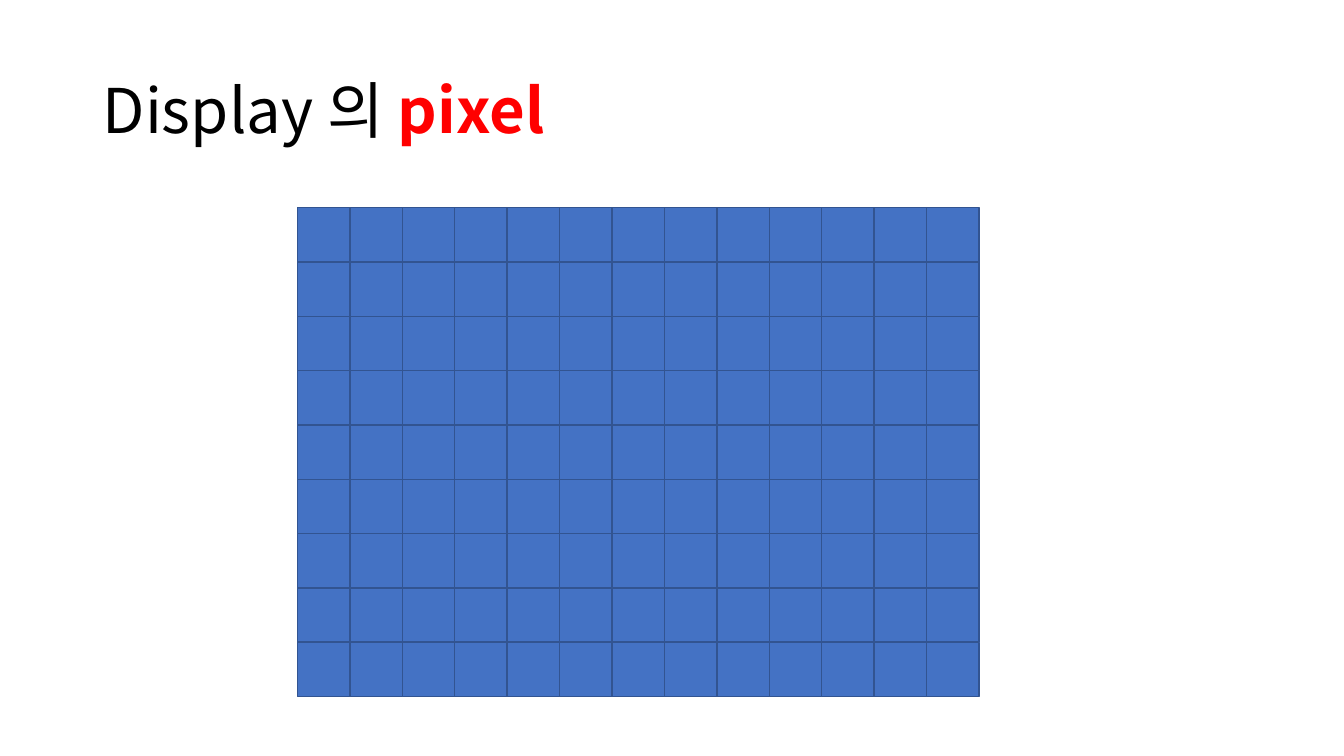
from lxml import etree
from pptx import Presentation
from pptx.dml.color import RGBColor
from pptx.enum.shapes import MSO_SHAPE
from pptx.enum.text import MSO_ANCHOR
from pptx.oxml.ns import qn
from pptx.util import Inches, Pt

RECT = MSO_SHAPE.RECTANGLE
MIDDLE = MSO_ANCHOR.MIDDLE
BLACK = RGBColor(0x00, 0x00, 0x00)
RED = RGBColor(0xFF, 0x00, 0x00)
BLUE = RGBColor(0x44, 0x72, 0xC4)
NAVY = RGBColor(0x32, 0x54, 0x91)
FONT = "Noto Sans CJK KR"
COLS, ROWS = 13, 9
LEFT, TOP = 2.95, 2.06
WIDE, HIGH = 0.52, 4.85 / ROWS


def add_text(para, text, size=44, color=BLACK, bold=False):
    run = para.add_run()
    run.text = text
    font = run.font
    font.name, font.size, font.bold = FONT, Pt(size), bold
    font.color.rgb = color
    latin = run._r.get_or_add_rPr().find(qn("a:latin"))
    east = etree.Element(qn("a:ea"), typeface=FONT)
    latin.addnext(east)


deck = Presentation()
deck.slide_width, deck.slide_height = Inches(13.33), Inches(7.5)
slide = deck.slides.add_slide(deck.slide_layouts[6])

title = slide.shapes.add_textbox(Inches(0.92), Inches(0.4), Inches(11.5), Inches(1.45))
frame = title.text_frame
frame.word_wrap = True
frame.vertical_anchor = MIDDLE
para = frame.paragraphs[0]
para.line_spacing = 0.9
add_text(para, "Display 의 ")
add_text(para, "pixel", color=RED, bold=True)

for row in range(ROWS):
    for col in range(COLS):
        pixel = slide.shapes.add_shape(
            RECT, Inches(LEFT + col * WIDE), Inches(TOP + row * HIGH), Inches(WIDE), Inches(HIGH))
        pixel.shadow.inherit = False
        pixel.fill.solid()
        pixel.fill.fore_color.rgb = BLUE
        pixel.line.color.rgb = NAVY
        pixel.line.width = Pt(1)

deck.save("out.pptx")
